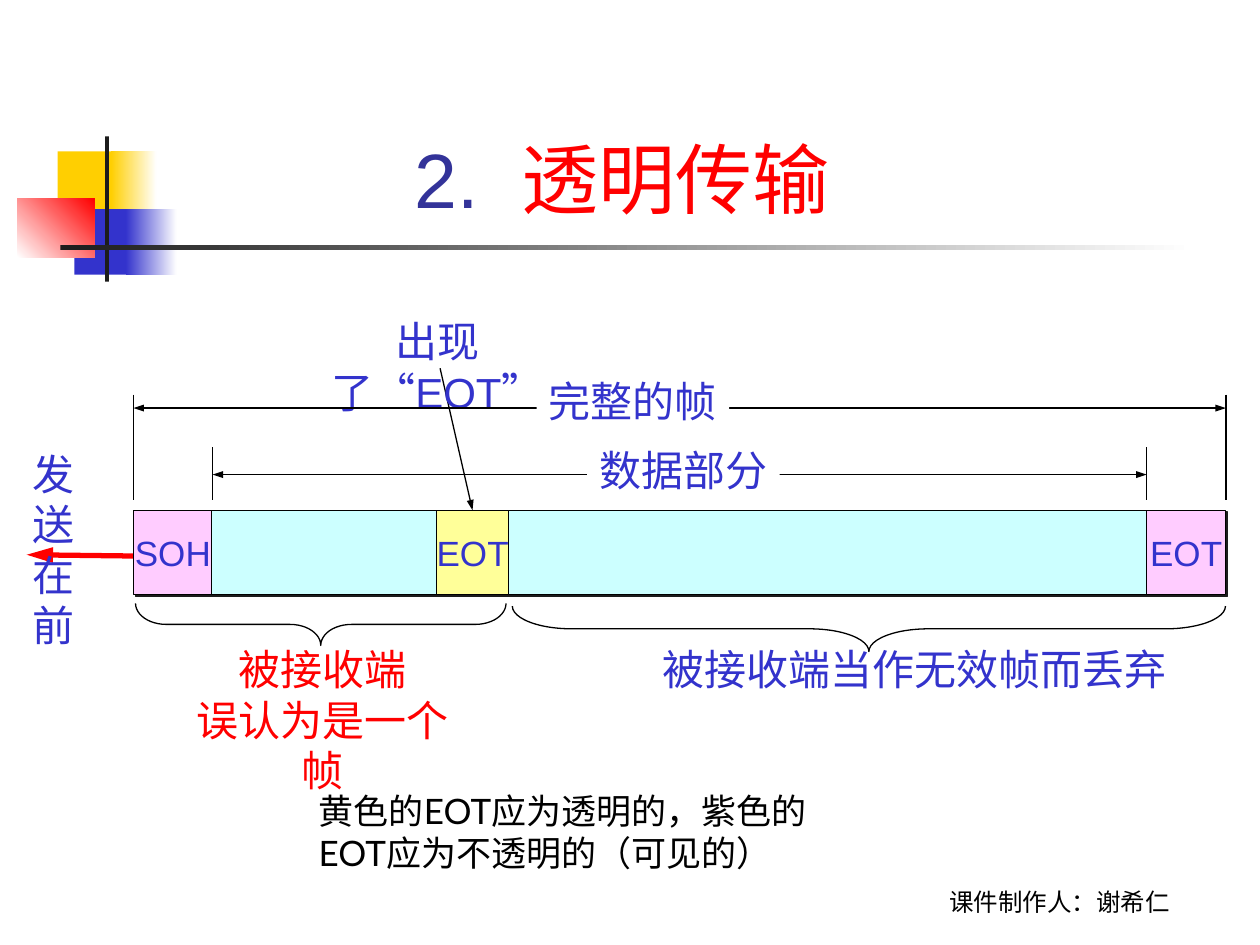
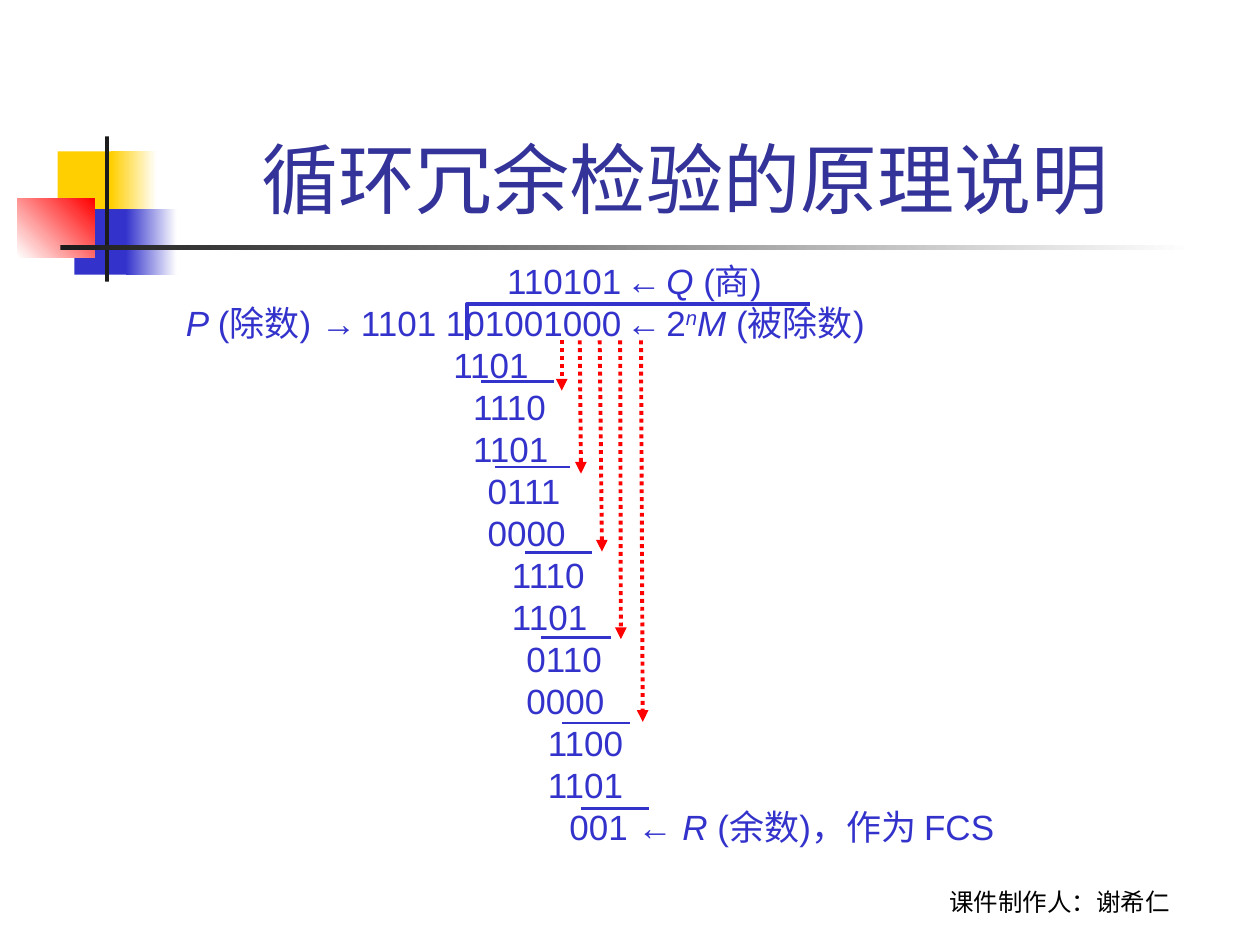
import pptx
import pptx.dml.color
import pptx.enum.dml
import pptx.enum.shapes
import pptx.enum.text
import pptx.oxml.ns
import pptx.util
from lxml import etree

Pt = pptx.util.Pt
RGB = pptx.dml.color.RGBColor
SHAPE = pptx.enum.shapes.MSO_SHAPE
ALIGN = pptx.enum.text.PP_ALIGN
ANCHOR = pptx.enum.text.MSO_ANCHOR
qn = pptx.oxml.ns.qn

BLACK = RGB(0x00, 0x00, 0x00)
WHITE = RGB(0xFF, 0xFF, 0xFF)
INK = RGB(0x1C, 0x1C, 0x1C)
RED = RGB(0xFF, 0x00, 0x00)
BLUE = RGB(0x33, 0x33, 0xCC)
NAVY = RGB(0x33, 0x33, 0x99)
GOLD = RGB(0xFF, 0xCF, 0x01)
PINK = RGB(0xFF, 0xCC, 0xFF)
CYAN = RGB(0xCC, 0xFF, 0xFF)
YELLOW = RGB(0xFF, 0xFF, 0x99)

AUTHOR = "课件制作人：谢希仁"


def write(frame, text, size=24, color=BLUE, font="Arial", align=ALIGN.LEFT,
          anchor=ANCHOR.TOP, wrap=False, indents=None, line_height=None):
    """Fill a text frame; text is a string or a list of paragraphs,
    each a string or a list of (text, format) runs."""
    frame.word_wrap = wrap
    frame.vertical_anchor = anchor
    paragraphs = text.split("\n") if isinstance(text, str) else text
    for index, content in enumerate(paragraphs):
        paragraph = frame.paragraphs[0] if index == 0 else frame.add_paragraph()
        paragraph.alignment = align
        if line_height:
            paragraph.line_spacing = Pt(line_height)
        if indents:
            properties = paragraph._p.get_or_add_pPr()
            properties.set("marL", str(Pt(indents[index])))
            properties.set("indent", "0")
        runs = [(content, {})] if isinstance(content, str) else content
        for words, look in runs:
            run = paragraph.add_run()
            run.text = words
            run.font.name = font
            run.font.size = Pt(look.get("size", size))
            run.font.color.rgb = look.get("color", color)
            run.font.bold = look.get("bold", False)
            run.font.italic = look.get("italic", False)
            for attribute in ("baseline", "spc"):
                if attribute in look:
                    run._r.get_or_add_rPr().set(attribute, str(look[attribute]))


class Deck:
    """The shared style and the slide being drawn."""

    def __init__(self):
        self.show = pptx.Presentation()
        self.show.slide_width, self.show.slide_height = Pt(720), Pt(540)
        self.slide = None

    def new_slide(self, title, title_width):
        self.slide = self.show.slides.add_slide(self.show.slide_layouts[6])
        # Corner squares, cross and fading rule
        self.rect(33, 86.5, 34.5, 37.5, GOLD)
        self.rect(63.5, 86.5, 26, 37.5, (GOLD, WHITE, 0))
        self.rect(42.5, 119.5, 33, 37.5, BLUE)
        self.rect(72, 119.5, 29, 37.5, (BLUE, WHITE, 0))
        self.rect(10, 113.5, 44, 33.5, (WHITE, RED, 45))
        self.rect(60, 78, 2.3, 83, INK)
        self.rect(34.5, 140.2, 648, 2.5, (INK, WHITE, 0))
        # Footer and title
        self.text(491.5, 491, 228, 36, AUTHOR, size=14, color=BLACK, font="Lato",
                  align=ALIGN.CENTER, anchor=ANCHOR.BOTTOM, wrap=True)
        self.text(90.5, 16.5, title_width, 115, title, size=44, color=NAVY,
                  align=ALIGN.CENTER, anchor=ANCHOR.BOTTOM, wrap=True)

    def text(self, left, top, width, height, text, **look):
        box = self.slide.shapes.add_textbox(Pt(left), Pt(top), Pt(width), Pt(height))
        write(box.text_frame, text, **look)

    def rect(self, left, top, width, height, fill, outline=False, shadow=False,
             label="", **look):
        rect = self.slide.shapes.add_shape(
            SHAPE.RECTANGLE, Pt(left), Pt(top), Pt(width), Pt(height))
        if isinstance(fill, tuple) and not isinstance(fill, RGB):
            rect.fill.gradient()
            rect.fill.gradient_angle = fill[2]
            for stop, color in zip(rect.fill.gradient_stops, fill):
                stop.color.rgb = color
        else:
            rect.fill.solid()
            rect.fill.fore_color.rgb = fill
        if outline:
            rect.line.color.rgb = BLACK
            rect.line.width = Pt(0.75)
        else:
            rect.line.fill.background()
        rect.shadow.inherit = False
        if shadow:
            effects = rect._element.spPr.find(qn("a:effectLst"))
            outer = etree.SubElement(effects, qn("a:outerShdw"), blurRad="0",
                                     dist=str(Pt(1.4)), dir="2700000", algn="ctr",
                                     rotWithShape="0")
            etree.SubElement(outer, qn("a:srgbClr"), val=str(INK))
        if label:
            write(rect.text_frame, label, align=ALIGN.CENTER, **look)

    def line(self, x1, y1, x2, y2, color=BLACK, width=0.75, head=None, tail=None,
             dotted=False):
        """head and tail are (width, length) of the arrowheads."""
        line = self.slide.shapes.add_connector(
            pptx.enum.shapes.MSO_CONNECTOR.STRAIGHT, Pt(x1), Pt(y1), Pt(x2), Pt(y2))
        line.line.color.rgb = color
        line.line.width = Pt(width)
        if dotted:
            line.line.dash_style = pptx.enum.dml.MSO_LINE.ROUND_DOT
        properties = line._element.spPr
        for tag, arrow in (("a:headEnd", head), ("a:tailEnd", tail)):
            if arrow:
                etree.SubElement(properties.find(qn("a:ln")), qn(tag),
                                 type="triangle", w=arrow[0], len=arrow[1])
        etree.SubElement(properties, qn("a:effectLst"))

    def brace(self, left, top, width, height, curve):
        """A brace that points down."""
        brace = self.slide.shapes.add_shape(
            SHAPE.LEFT_BRACE, Pt(left + (width - height) / 2),
            Pt(top + (height - width) / 2), Pt(height), Pt(width))
        brace.rotation = 270
        brace.adjustments[0] = curve / height
        self.outline(brace, BLACK, 0.75)

    def polyline(self, points, color, width):
        corners = [(Pt(x), Pt(y)) for x, y in points]
        builder = self.slide.shapes.build_freeform(*corners[0], scale=1.0)
        builder.add_line_segments(corners[1:], close=False)
        self.outline(builder.convert_to_shape(), color, width)

    def outline(self, shape, color, width):
        shape.fill.background()
        shape.line.color.rgb = color
        shape.line.width = Pt(width)
        shape.shadow.inherit = False


def transparent_transmission(deck):
    deck.new_slide([[("2.", {}), (" ", {"spc": 1220}), ("透明传输", {"color": RED})]], 530)
    slim = ("sm", "med")
    frame_left, data_left, data_right, frame_right = 76.3, 121.5, 655.2, 700.5
    top, height = 291.6, 48.2
    cell = dict(outline=True, size=20, anchor=ANCHOR.MIDDLE)

    # Frame fields
    deck.line(99.5, 318, 15.3, 317, RED, 3, tail=("med", "lg"))
    deck.rect(frame_left, top, 45, height, PINK, shadow=True, label="SOH", **cell)
    deck.rect(121, top, 547, height, CYAN, outline=True, shadow=True)
    deck.rect(249.5, top, 41.2, height, YELLOW, label="EOT", **cell)
    deck.line(251.5, 210.5, 270, top, tail=slim)
    deck.text(163.5, 177, 173, 36, "出现了“EOT”", align=ALIGN.CENTER, wrap=True)

    # What the receiver makes of each half
    deck.brace(292.8, 346.3, 407.5, 26, 34)
    deck.text(371.5, 364.3, 302.5, 36, "被接收端当作无效帧而丢弃")
    deck.brace(77.5, 344.8, 211.7, 24, 17.5)
    deck.text(93.5, 364.3, 182, 65, "被接收端\n误认为是一个帧", color=RED,
              align=ALIGN.CENTER)

    # Dimension lines with their labels
    deck.line(data_left, 271.2, data_right, 271.2, head=slim, tail=slim)
    deck.rect(335.5, 250.5, 110, 36, WHITE, label="数据部分")
    deck.rect(data_right, top, 45.3, height, PINK, shadow=True, label="EOT", **cell)
    deck.line(frame_left, 233.2, frame_right, 233.2, head=slim, tail=slim)
    deck.rect(306.7, 211, 110, 36, WHITE, label="完整的帧")
    for x, y in ((frame_left, 225.5), (frame_right, 225.5),
                 (data_left, 255.6), (data_right, 255.6)):
        deck.line(x, y, x, 286)

    # Notes
    deck.text(11.5, 252.7, 62, 65, "发送\n在前")
    deck.text(175, 447.8, 300, 79, "黄色的EOT应为透明的，紫色的EOT应为不透明的（可见的）",
              size=20, color=BLACK, font="Lato", wrap=True)


def crc_principle(deck):
    deck.new_slide("循环冗余检验的原理说明", 602)
    italic = {"italic": True}
    thin_space = (" ", {"size": 10})

    # Long division, one row per paragraph
    quotient = [("110101", {}), thin_space, ("←", {}), thin_space,
                ("Q ", italic), ("(商)", {})]
    dividend = [("P ", italic), ("(除数) ", {}), ("→", {"bold": True}), thin_space,
                ("1101 101001000", {}), thin_space, ("←", {}), thin_space, ("2", {}),
                ("n", {"italic": True, "baseline": 30000}), ("M ", italic),
                ("(被除数)", {})]
    remainder = [("001 ← ", {}), ("R", italic), (" (余数)，作为 FCS", {})]
    steps = ["1101", "1110", "1101", "0111", "0000", "1110", "1101",
             "0110", "0000", "1100", "1101"]
    step_indents = [175] + [x for x in (186.3, 194.6, 208.5, 216.8, 229)
                            for _ in range(2)]
    deck.text(77, 144.7, 643, 343.5, [quotient, dividend, *steps, remainder], size=20,
              wrap=True, line_height=24, indents=[205.7, 22.2, *step_indents, 241.3])
    deck.polyline([(267, 194.5), (267, 173.5), (463, 173.5)], BLUE, 2.25)

    # Digits brought down
    for x1, x2, bottom in ((321, 321, 223.2), (331.3, 332, 270.7), (342.7, 344, 315.2),
                           (354.4, 354.8, 365.2), (366.3, 367.3, 412.5)):
        deck.line(x1, 194.5, x2, bottom, RED, 2.25, tail=("med", "med"), dotted=True)

    # Subtraction rules
    spans = ((275, 316.7), (283, 326), (300.3, 338.5), (309, 349), (321.3, 360),
             (332, 371))
    for row, (start, end) in enumerate(spans):
        y = 218 + 48.8 * row
        deck.line(start, y, end, y, BLUE, 1.5)


def main():
    deck = Deck()
    transparent_transmission(deck)
    crc_principle(deck)
    deck.show.save("out.pptx")


if __name__ == "__main__":
    main()
